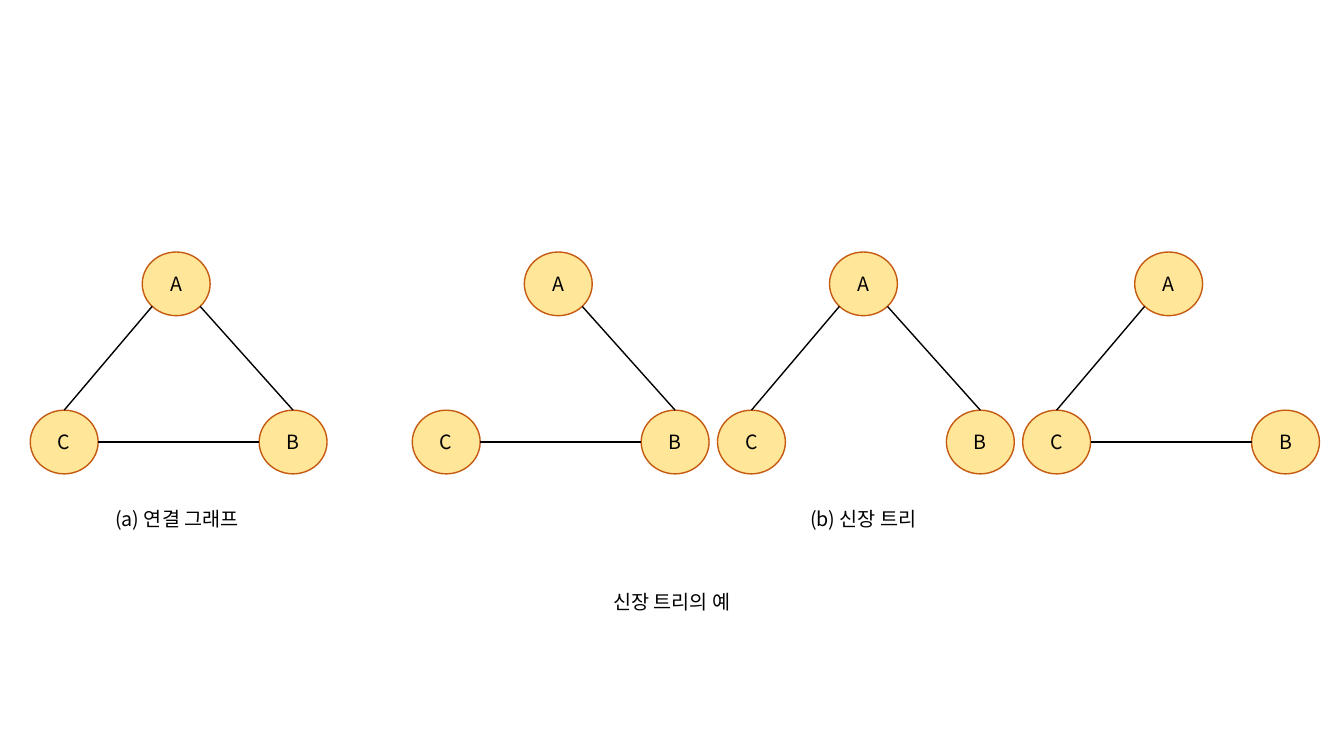
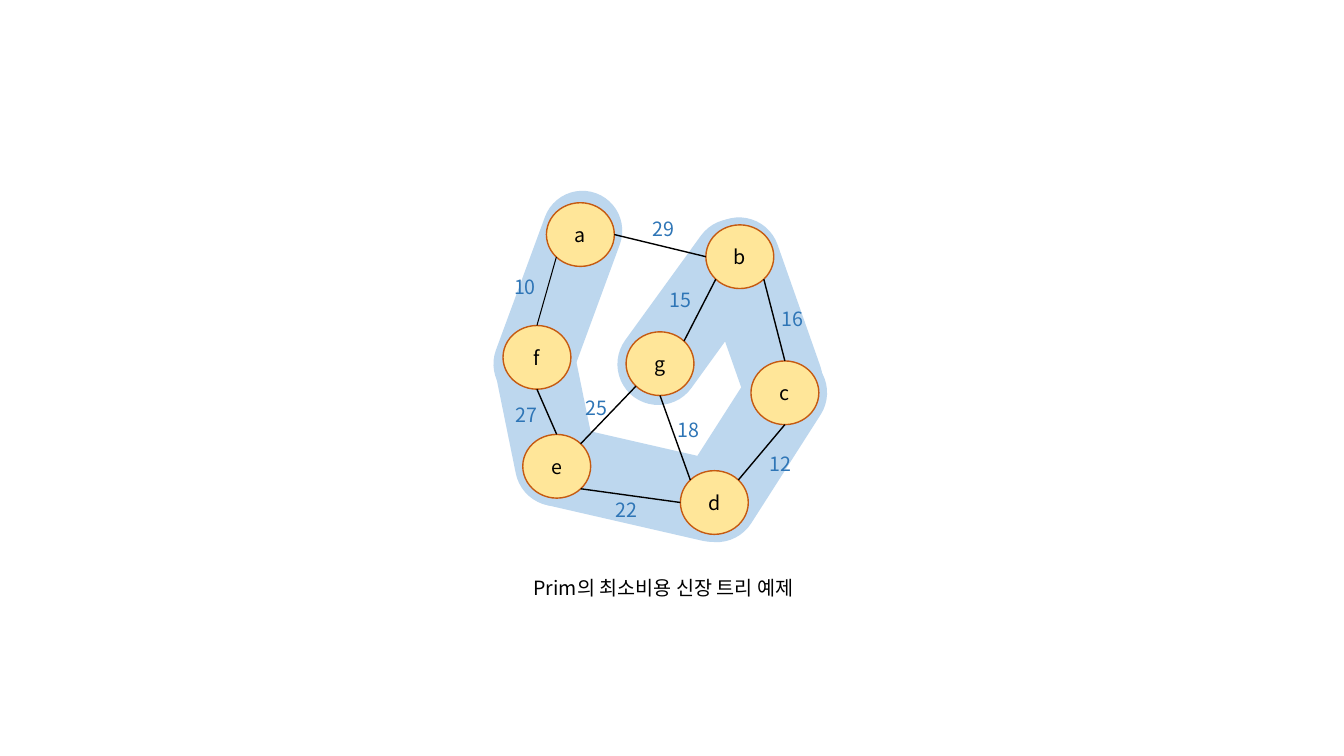
from lxml import etree
from math import cos, pi, sin

from pptx import Presentation
from pptx.dml.color import RGBColor
from pptx.enum.shapes import MSO_CONNECTOR, MSO_SHAPE
from pptx.enum.text import MSO_ANCHOR, MSO_AUTO_SIZE, PP_ALIGN
from pptx.oxml.ns import qn
from pptx.util import Pt

STRAIGHT = MSO_CONNECTOR.STRAIGHT
ELLIPSE, ROUNDED = MSO_SHAPE.OVAL, MSO_SHAPE.ROUNDED_RECTANGLE
MIDDLE, CENTER = MSO_ANCHOR.MIDDLE, PP_ALIGN.CENTER
GROW = MSO_AUTO_SIZE.SHAPE_TO_FIT_TEXT

COLORS = {
    "text": "000000",
    "edge": "000000",
    "node": "FFE699",
    "node_line": "C55A11",
    "band": "BDD7EE",
    "weight": "2E75B6",
}
FONT, FONT_SIZE = "Noto Sans CJK KR", 14
NODE_WIDTH, NODE_HEIGHT = 48.5, 45.5
TEXT_HEIGHT = 24.5

# Connection sites of an ellipse, counted anticlockwise from the top
(TOP, TOP_LEFT, LEFT, BOTTOM_LEFT,
 BOTTOM, BOTTOM_RIGHT, RIGHT, TOP_RIGHT) = range(8)


def color(name):
    return RGBColor.from_string(COLORS[name])


class GraphDeck:
    """Holds the style, the presentation and the current slide."""

    def __init__(self):
        self.presentation = Presentation()
        self.presentation.slide_width = Pt(960)
        self.presentation.slide_height = Pt(540)
        self.slide = None

    def new_slide(self):
        blank_layout = self.presentation.slide_layouts[6]
        self.slide = self.presentation.slides.add_slide(blank_layout)

    def set_text(self, shape, text, color_name="text"):
        shape.text_frame.text = text
        paragraph = shape.text_frame.paragraphs[0]
        paragraph.alignment = CENTER
        run = paragraph.runs[0]
        run.font.size = Pt(FONT_SIZE)
        run.font.color.rgb = color(color_name)
        run.font.name = FONT
        # East Asian font, for the Korean letters
        properties = run._r.get_or_add_rPr()
        etree.SubElement(properties, qn("a:ea")).set("typeface", FONT)

    def label(self, text, center_x, center_y, width=240, color_name="text"):
        box = self.slide.shapes.add_textbox(
            Pt(center_x - width / 2), Pt(center_y - TEXT_HEIGHT / 2),
            Pt(width), Pt(TEXT_HEIGHT))
        box.text_frame.word_wrap = True
        box.text_frame.auto_size = GROW
        self.set_text(box, text, color_name)

    def node(self, text, left, top):
        shape = self.slide.shapes.add_shape(
            ELLIPSE, Pt(left), Pt(top), Pt(NODE_WIDTH), Pt(NODE_HEIGHT))
        shape.shadow.inherit = False
        shape.fill.solid()
        shape.fill.fore_color.rgb = color("node")
        shape.line.color.rgb = color("node_line")
        shape.line.width = Pt(1)
        shape.text_frame.vertical_anchor = MIDDLE
        self.set_text(shape, text)
        return shape

    def edge(self, start, start_site, end, end_site, width=1):
        points = []
        for node, site in ((start, start_site), (end, end_site)):
            angle = pi / 2 + site * pi / 4
            points += [
                round(node.left + node.width / 2 * (1 + cos(angle))),
                round(node.top + node.height / 2 * (1 - sin(angle)))]
        connector = self.slide.shapes.add_connector(STRAIGHT, *points)
        connector.line.color.rgb = color("edge")
        connector.line.width = Pt(width)
        etree.SubElement(connector.element.spPr, qn("a:effectLst"))
        # Attach both ends to the nodes
        ends = connector.element.nvCxnSpPr.cNvCxnSpPr
        for tag, node, site in (("a:stCxn", start, start_site),
                                ("a:endCxn", end, end_site)):
            link = etree.SubElement(ends, qn(tag))
            link.set("id", str(node.shape_id))
            link.set("idx", str(site))

    def band(self, center_x, center_y, length, rotation, width=58.3):
        shape = self.slide.shapes.add_shape(
            ROUNDED, Pt(center_x - width / 2), Pt(center_y - length / 2),
            Pt(width), Pt(length))
        shape.adjustments[0] = 0.5
        shape.rotation = rotation
        shape.shadow.inherit = False
        shape.fill.solid()
        shape.fill.fore_color.rgb = color("band")
        shape.line.fill.background()


def spanning_trees(deck):
    deck.new_slide()
    node_offsets = {"A": (80, 180), "C": (0, 293), "B": (163.5, 293)}
    sides = {
        "AC": ("C", TOP, "A", BOTTOM_LEFT),
        "AB": ("B", TOP, "A", BOTTOM_RIGHT),
        "CB": ("C", RIGHT, "B", LEFT),
    }
    # The connected graph, then its three spanning trees at equal steps
    first_tree, step = 294.5, 218
    graphs = [
        (21.6, ("AC", "AB", "CB")),
        (first_tree, ("AB", "CB")),
        (first_tree + step, ("AC", "AB")),
        (first_tree + 2 * step, ("AC", "CB")),
    ]
    for left, kept_sides in graphs:
        nodes = {name: deck.node(name, left + x, top)
                 for name, (x, top) in node_offsets.items()}
        for side in kept_sides:
            start, start_site, end, end_site = sides[side]
            deck.edge(nodes[start], start_site, nodes[end], end_site)

    # Captions
    deck.label("(a) 연결 그래프", 126.4, 370.8)
    deck.label("(b) 신장 트리", 616.7, 370.8)
    deck.label("신장 트리의 예", 480, 429.8)


def prim_example(deck):
    deck.new_slide()

    # Bands behind the edges of the minimum spanning tree
    deck.band(497.2, 222.8, 150.5, 35.9)
    deck.band(543.2, 227.9, 150.5, 340.6)
    deck.band(536.8, 319.3, 150.5, 32.6)
    deck.band(453.2, 345.2, 172, 282.9)
    deck.band(389.9, 297.4, 129.6, 348.5)
    deck.band(398.5, 212.4, 158.4, 20.2, width=57)

    # Nodes
    positions = {
        "a": (390.3, 144.8), "f": (359.3, 232.5), "g": (447.2, 237),
        "b": (504.2, 160.6), "e": (373.4, 310.3), "d": (486, 336.2),
        "c": (536.4, 257.8),
    }
    nodes = {name: deck.node(name, *position)
             for name, position in positions.items()}

    # Edges: start, its site, end, its site, line width, weight, weight centre
    edges = [
        ("f", TOP, "a", BOTTOM_LEFT, 0.75, "10", (375, 205)),
        ("a", RIGHT, "b", LEFT, 1, "29", (473.8, 163.4)),
        ("g", TOP_RIGHT, "b", BOTTOM_LEFT, 1, "15", (486, 214.6)),
        ("c", TOP, "b", BOTTOM_RIGHT, 1, "16", (566, 228.2)),
        ("d", TOP_LEFT, "g", BOTTOM, 1, "18", (491.8, 307.4)),
        ("d", TOP_RIGHT, "c", BOTTOM, 1, "12", (557.3, 331.2)),
        ("d", LEFT, "e", BOTTOM_RIGHT, 1, "22", (447.8, 364.3)),
        ("e", TOP_RIGHT, "g", BOTTOM_LEFT, 1, "25", (426.2, 291.6)),
        ("e", TOP, "f", BOTTOM, 1, "27", (375.8, 296.6)),
    ]
    for start, start_site, end, end_site, width, weight, center in edges:
        deck.edge(nodes[start], start_site, nodes[end], end_site, width)
        deck.label(weight, *center, width=39, color_name="weight")

    # Caption
    deck.label("Prim의 최소비용 신장 트리 예제", 474, 419.8)


def main():
    deck = GraphDeck()
    spanning_trees(deck)
    prim_example(deck)
    deck.presentation.save("out.pptx")


if __name__ == "__main__":
    main()
